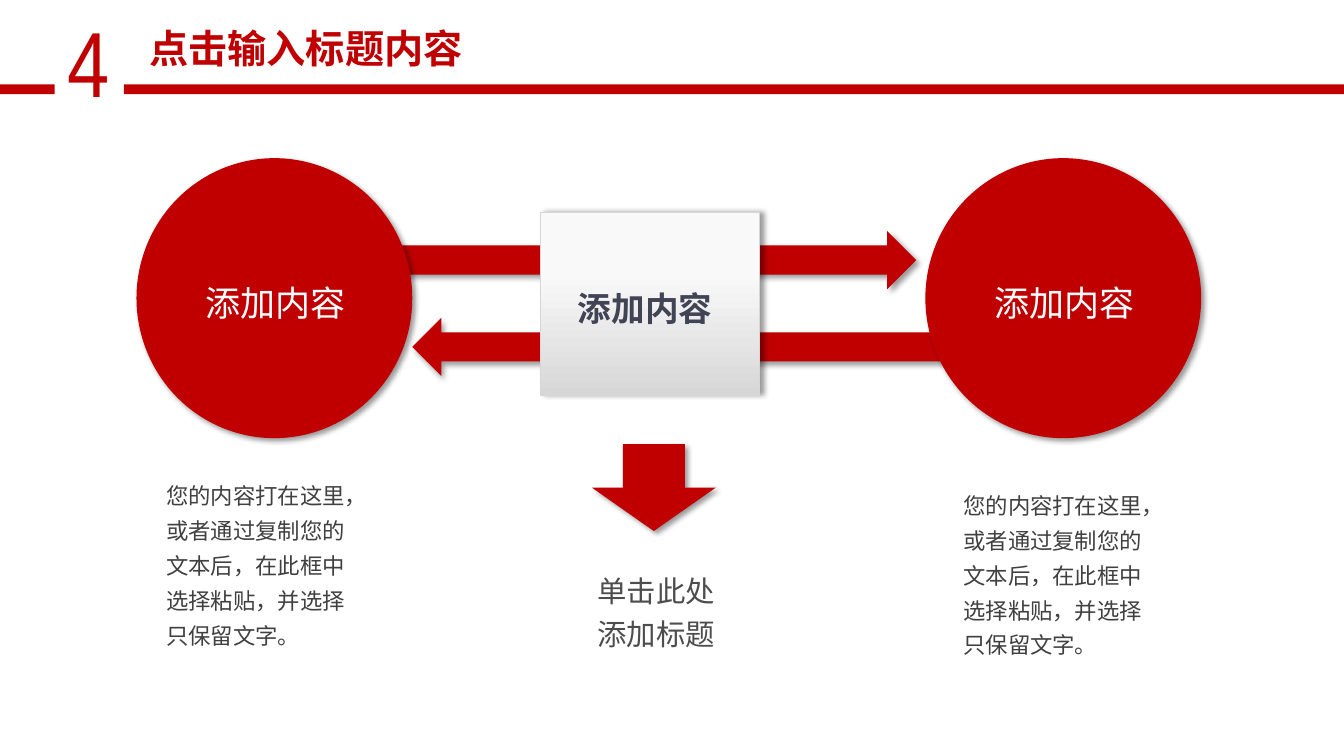
from lxml.etree import SubElement
from pptx import Presentation
from pptx.dml.color import RGBColor
from pptx.enum.shapes import MSO_SHAPE as SHAPE
from pptx.enum.text import MSO_ANCHOR as ANCHOR, MSO_AUTO_SIZE as AUTO, PP_ALIGN as ALIGN
from pptx.oxml.ns import qn
from pptx.util import Pt

RED = RGBColor(0xC0, 0x00, 0x00)
WHITE = RGBColor(0xFF, 0xFF, 0xFF)
SLATE = RGBColor(0x41, 0x44, 0x55)
BODY_GREY = RGBColor(0x40, 0x40, 0x40)
LEAD_GREY = RGBColor(0x4D, 0x4D, 0x4D)
PALE = RGBColor(0xF9, 0xF9, 0xF9)
SILVER = RGBColor(0xD7, 0xD7, 0xD7)
CJK = "Noto Sans CJK SC"
INSETS = (10, 5, 10, 5)
LABEL = "添加内容"
CAPTION = "您的内容打在这里，或者通过复制您的文本后，在此框中选择粘贴，并选择只保留文字。"


class SlideBuilder:
    """Draws styled elements, measured in points, on one slide."""

    def __init__(self, prs):
        self.slide = prs.slides.add_slide(prs.slide_layouts[5])

    def set_text(self, sp, text, size, color, name=CJK, bold=False, spacing=1.0,
                 align=ALIGN.LEFT, anchor=ANCHOR.TOP, insets=INSETS):
        tf = sp.text_frame
        left, top, right, bottom = map(Pt, insets)
        frame = dict(auto_size=AUTO.NONE, word_wrap=True, vertical_anchor=anchor,
                     margin_left=left, margin_top=top,
                     margin_right=right, margin_bottom=bottom)
        p = tf.paragraphs[0]
        r = p.add_run()
        r.text = text
        font = dict(name=name, size=Pt(size), bold=bold)
        para = dict(alignment=align, line_spacing=spacing)
        for target, values in ((tf, frame), (p, para), (r.font, font)):
            for key, value in values.items():
                setattr(target, key, value)
        r.font.color.rgb = color
        SubElement(r._r.get_or_add_rPr(), qn("a:ea"), typeface=name)

    def title(self, text, box, **fmt):
        sp = self.slide.shapes.title
        for key, value in zip(("left", "top", "width", "height"), box):
            setattr(sp, key, Pt(value))
        self.set_text(sp, text, **fmt)

    def text(self, text, box, **fmt):
        self.set_text(self.slide.shapes.add_textbox(*map(Pt, box)), text, **fmt)

    def shape(self, kind, box, shadow_angle=None):
        sp = self.slide.shapes.add_shape(kind, *map(Pt, box))
        sp.fill.solid()
        sp.fill.fore_color.rgb = RED
        sp.line.fill.background()
        sp.shadow.inherit = False
        if shadow_angle is not None:
            effects = sp._element.spPr.find(qn("a:effectLst"))
            shadow = SubElement(effects, qn("a:outerShdw"), blurRad=str(Pt(4)),
                                dist=str(Pt(3)), dir=str(shadow_angle * 60000),
                                algn="tl", rotWithShape="0")
            color = SubElement(shadow, qn("a:srgbClr"), val="000000")
            SubElement(color, qn("a:alpha"), val="40000")
        return sp

    def circle(self, text, box):
        sp = self.shape(SHAPE.OVAL, box, 45)
        self.set_text(sp, text, size=25, color=WHITE, spacing=1.2,
                      align=ALIGN.CENTER, anchor=ANCHOR.MIDDLE, insets=(12, 5, 10, 5))

    def panel(self, text, box):
        sp = self.shape(SHAPE.RECTANGLE, box, 0)
        sp.fill.gradient()
        sp.fill.gradient_angle = 270
        for stop, (position, color) in zip(sp.fill.gradient_stops,
                                           ((0.33, PALE), (1, SILVER))):
            stop.position = position
            stop.color.rgb = color
        sp.line.color.rgb = SILVER
        sp.line.width = Pt(0.25)
        self.set_text(sp, text, size=24, color=SLATE, bold=True, spacing=1.2,
                      align=ALIGN.CENTER, anchor=ANCHOR.MIDDLE, insets=(10, 5, 17, 5))


def main():
    prs = Presentation()
    prs.slide_width, prs.slide_height = Pt(960), Pt(540)
    s = SlideBuilder(prs)

    s.text("4", (41, 0, 25, 87), size=66, color=RED, name="Arial Narrow",
           insets=(7.2, 3.6, 7.2, 3.6))
    for left, width in ((88.5, 871.5), (0, 39)):
        s.shape(SHAPE.RECTANGLE, (left, 60.3, width, 7))
    s.title("点击输入标题内容", (89.3, 13.7, 258.5, 41), size=28, color=RED, bold=True,
            align=ALIGN.CENTER, insets=(7.2, 3.6, 7.2, 3.6))

    for kind, left, top, width in ((SHAPE.RIGHT_ARROW, 281, 165, 373.5),
                                   (SHAPE.LEFT_ARROW, 294.5, 227, 386.5)):
        s.shape(kind, (left, top, width, 41.5), 45)
    for left, caption_left, caption_top in ((97.5, 108.7, 334), (661, 678.2, 340.6)):
        s.circle(LABEL, (left, 113, 197, 200))
        s.text(CAPTION, (caption_left, caption_top, 162.7, 139),
               size=16, color=BODY_GREY, spacing=1.3)
    s.panel(LABEL, (386, 151.3, 156.5, 131))
    s.shape(SHAPE.DOWN_ARROW, (422.8, 317.3, 88.5, 62), 45)
    s.text("单击此处添加标题", (416.8, 399.6, 124, 71.3),
           size=21, color=LEAD_GREY, spacing=1.2)

    prs.save("out.pptx")


if __name__ == "__main__":
    main()
